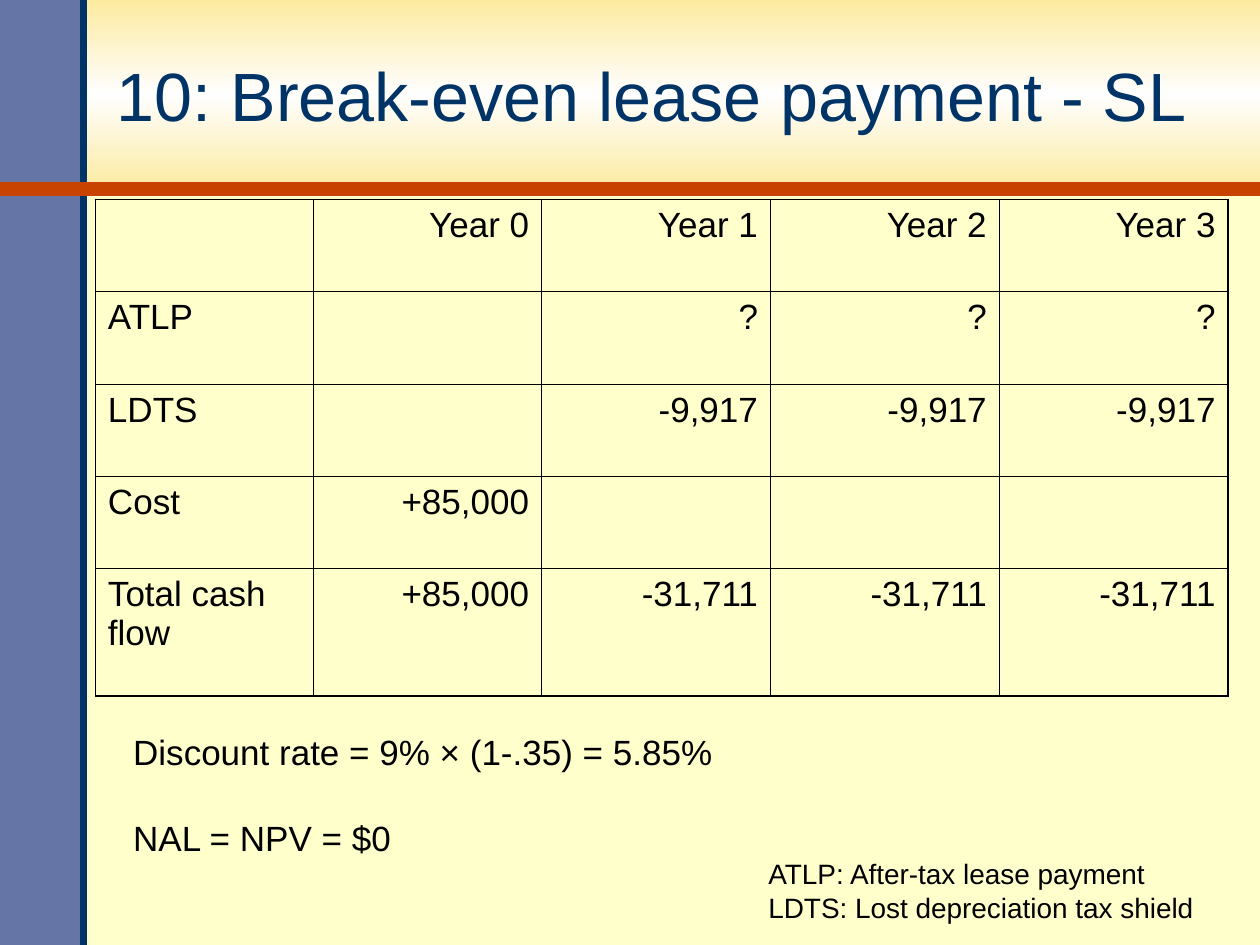
from copy import deepcopy

from lxml.etree import SubElement
from pptx import Presentation
from pptx.dml.color import RGBColor
from pptx.enum.shapes import MSO_CONNECTOR, MSO_SHAPE
from pptx.enum.text import MSO_ANCHOR, PP_ALIGN
from pptx.oxml.ns import qn
from pptx.util import Pt

BLACK, NAVY = "000000", "003366"


def colour(value):
    return RGBColor.from_string(value)


def write(frame, text, size=20, color=BLACK, align=PP_ALIGN.LEFT, gap=0):
    """Fill a text frame, one paragraph a line, with a gap between paragraphs."""
    frame.text = text
    for index, paragraph in enumerate(frame.paragraphs):
        paragraph.alignment = align
        paragraph.space_before = Pt(gap if index else 0)
        paragraph.font.name = "Arial"
        paragraph.font.size = Pt(size)
        paragraph.font.color.rgb = colour(color)


presentation = Presentation()
presentation.slide_width, presentation.slide_height = Pt(720), Pt(540)
slide = presentation.slides.add_slide(presentation.slide_layouts[5])
shapes = slide.shapes

# Background
slide.background.fill.solid()
slide.background.fill.fore_color.rgb = colour("FFFFCC")

# Header band with a three-stop gradient, and side band
header = shapes.add_shape(MSO_SHAPE.RECTANGLE, 0, 0, Pt(720), Pt(108))
header.fill.gradient()
header.fill.gradient_angle = 90
stop_list = header.element.spPr.find(".//" + qn("a:gsLst"))
stop_list.append(deepcopy(stop_list[0]))
for stop, position, value in zip(header.fill.gradient_stops, (0, 0.5, 1),
                                 ("FDEBA1", "FEFEFE", "FDEBA1")):
    stop.position = position
    stop.color.rgb = colour(value)

side_band = shapes.add_shape(MSO_SHAPE.RECTANGLE, 0, 0, Pt(48), Pt(540))
side_band.fill.solid()
side_band.fill.fore_color.rgb = colour("6475A6")
for band in (header, side_band):
    band.line.fill.background()
    band.shadow.inherit = False

# Rules along the bands
for x1, y1, x2, y2, value, width in ((48, 0, 48, 540, NAVY, 4),
                                     (0, 108, 720, 108, "C84300", 8)):
    rule = shapes.add_connector(MSO_CONNECTOR.STRAIGHT, Pt(x1), Pt(y1), Pt(x2), Pt(y2))
    rule.line.color.rgb = colour(value)
    rule.line.width = Pt(width)
    SubElement(rule.element.spPr, qn("a:effectLst"))

# Title, brought in front of the header band
title = shapes.title
shapes.element.append(title.element)
title.left, title.top, title.width, title.height = Pt(47), Pt(11), Pt(651), Pt(86)
title.text_frame.vertical_anchor = MSO_ANCHOR.MIDDLE
write(title.text_frame, "10: Break-even lease payment - SL",
      size=39, color=NAVY, align=PP_ALIGN.CENTER)

# Cash flow table
rows = [
    ["", "Year 0", "Year 1", "Year 2", "Year 3"],
    ["ATLP", "", "?", "?", "?"],
    ["LDTS", "", "-9,917", "-9,917", "-9,917"],
    ["Cost", "+85,000", "", "", ""],
    ["Total cash flow", "+85,000", "-31,711", "-31,711", "-31,711"],
]
last = len(rows) - 1
table = shapes.add_table(5, 5, Pt(54.5), Pt(114), Pt(647.4), Pt(284)).table
table.first_row = table.horz_banding = False
for index in range(5):
    table.columns[index].width = Pt(130.75 if index else 124.4)
    table.rows[index].height = Pt(73 if index == last else 52.75)

for r, row in enumerate(rows):
    for c, text in enumerate(row):
        cell = table.cell(r, c)
        write(cell.text_frame, text, align=PP_ALIGN.RIGHT if c else PP_ALIGN.LEFT)
        # Thicker borders on the outside edge
        properties = cell._tc.get_or_add_tcPr()
        for side, outer in (("L", c == 0), ("R", c == last),
                            ("T", r == 0), ("B", r == last)):
            border = SubElement(properties, qn("a:ln" + side),
                                w=str(Pt(1.08 if outer else 0.45)))
            fill = SubElement(border, qn("a:solidFill"))
            SubElement(fill, qn("a:srgbClr"), val=BLACK)
        cell.fill.background()

# Notes below the table
notes = [
    (432, 486, 258, 46, True, 16, 0,
     "ATLP: After-tax lease payment\nLDTS: Lost depreciation tax shield"),
    (69, 414, 350, 79, False, 20, 25,
     "Discount rate = 9% × (1-.35) = 5.85%\nNAL = NPV = $0"),
]
for left, top, width, height, wrap, size, gap, text in notes:
    box = shapes.add_textbox(Pt(left), Pt(top), Pt(width), Pt(height))
    box.text_frame.word_wrap = wrap
    write(box.text_frame, text, size=size, gap=gap)

presentation.save("out.pptx")
